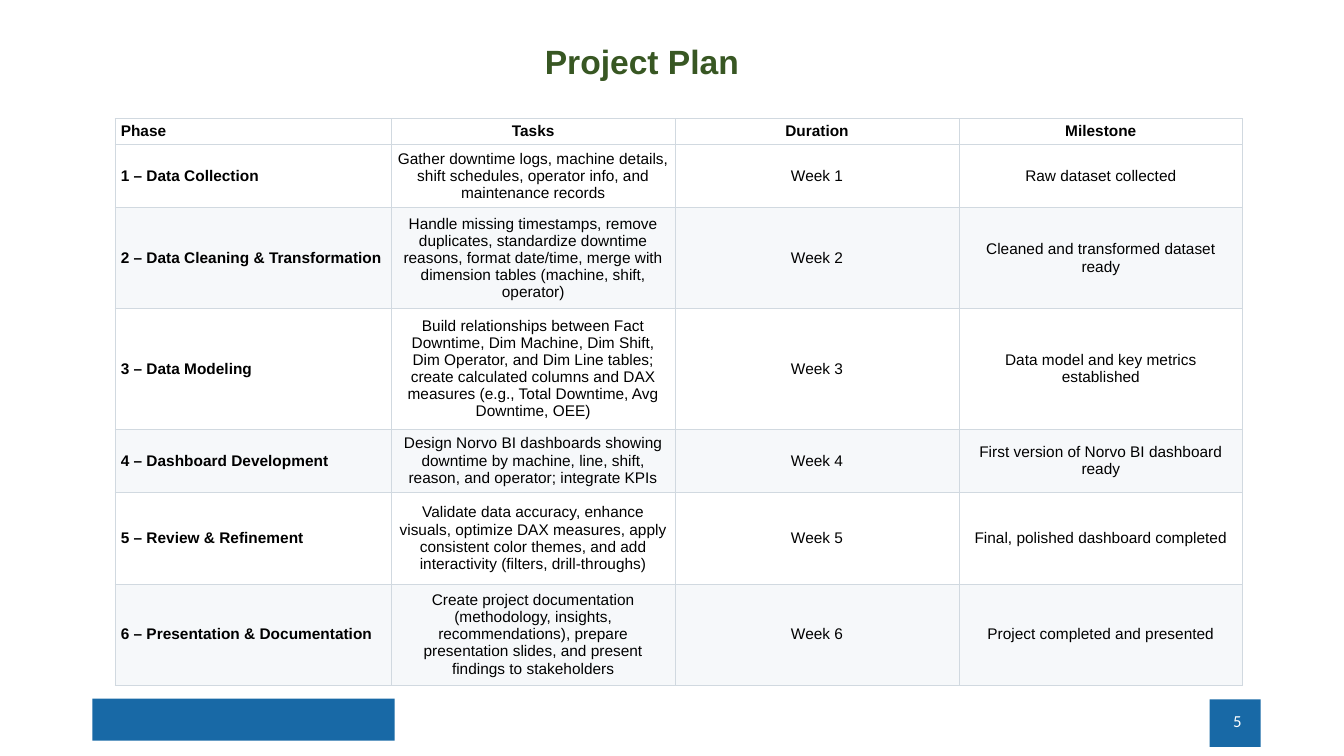
from lxml import etree
from pptx import Presentation
from pptx.dml.color import RGBColor
from pptx.enum.shapes import MSO_SHAPE
from pptx.enum.text import MSO_ANCHOR, MSO_AUTO_SIZE, PP_ALIGN
from pptx.oxml.ns import qn
from pptx.util import Pt

RECTANGLE = MSO_SHAPE.RECTANGLE
MIDDLE = MSO_ANCHOR.MIDDLE
NO_AUTOFIT = MSO_AUTO_SIZE.NONE
LEFT, CENTER, RIGHT = PP_ALIGN.LEFT, PP_ALIGN.CENTER, PP_ALIGN.RIGHT

TITLE = "Project Plan"
PAGE_NUMBER = "5"
PLAN = [
    ("Phase", "Tasks", "Duration", "Milestone"),
    ("1 – Data Collection",
     "Gather downtime logs, machine details, shift schedules, operator info, "
     "and maintenance records",
     "Week 1", "Raw dataset collected"),
    ("2 – Data Cleaning & Transformation",
     "Handle missing timestamps, remove duplicates, standardize downtime reasons, "
     "format date/time, merge with dimension tables (machine, shift, operator)",
     "Week 2", "Cleaned and transformed dataset ready"),
    ("3 – Data Modeling",
     "Build relationships between Fact Downtime, Dim Machine, Dim Shift, Dim Operator, "
     "and Dim Line tables; create calculated columns and DAX measures "
     "(e.g., Total Downtime, Avg Downtime, OEE)",
     "Week 3", "Data model and key metrics established"),
    ("4 – Dashboard Development",
     "Design Norvo BI dashboards showing downtime by machine, line, shift, reason, "
     "and operator; integrate KPIs",
     "Week 4", "First version of Norvo BI dashboard ready"),
    ("5 – Review & Refinement",
     "Validate data accuracy, enhance visuals, optimize DAX measures, apply consistent "
     "color themes, and add interactivity (filters, drill-throughs)",
     "Week 5", "Final, polished dashboard completed"),
    ("6 – Presentation & Documentation",
     "Create project documentation (methodology, insights, recommendations), prepare "
     "presentation slides, and present findings to stakeholders",
     "Week 6", "Project completed and presented"),
]
COLORS = {
    "title": "385723", "bar": "1869A6", "border": "D1D9E0", "text": "000000",
    "plain_row": "FFFFFF", "shaded_row": "F6F8FA", "page_number": "FFFFFF",
}
FOOTER_BARS = [(66, 499, 216, 30), (864, 499.5, 36.5, 34)]
TABLE_LEFT, TABLE_TOP = 82, 84.5
COLUMN_WIDTHS = [197.5, 202.75, 202.75, 202.75]
ROW_HEIGHTS = [18.5, 45.4, 72, 86, 45.4, 65.5, 72]


def color(name):
    return RGBColor.from_string(COLORS[name])


def set_font(paragraph, name, size, color_name, bold=False):
    font = paragraph.font
    font.name, font.size, font.bold = name, Pt(size), bold
    font.color.rgb = color(color_name)


def add_borders(cell):
    properties = cell._tc.get_or_add_tcPr()
    for index, side in enumerate(("lnL", "lnR", "lnT", "lnB")):
        line = etree.Element(qn(f"a:{side}"), w=str(Pt(0.48)))
        fill = etree.SubElement(line, qn("a:solidFill"))
        etree.SubElement(fill, qn("a:srgbClr"), val=COLORS["border"])
        properties.insert(index, line)


def add_footer(slide):
    for box in FOOTER_BARS:
        bar = slide.shapes.add_shape(RECTANGLE, *map(Pt, box))
        bar.shadow.inherit = False
        bar.fill.solid()
        bar.fill.fore_color.rgb = color("bar")
        bar.line.fill.background()
    frame = slide.shapes.add_textbox(Pt(678), Pt(500.5), Pt(216), Pt(29)).text_frame
    frame.word_wrap = True
    frame.vertical_anchor = MIDDLE
    paragraph = frame.paragraphs[0]
    paragraph.text = PAGE_NUMBER
    paragraph.alignment = RIGHT
    set_font(paragraph, "Calibri", 12, "page_number")


def add_title(slide):
    title = slide.shapes.title
    title.left, title.top, title.width, title.height = map(Pt, (381, 25.5, 155, 36))
    frame = title.text_frame
    frame.text = TITLE
    frame.word_wrap = False
    frame.auto_size = NO_AUTOFIT
    set_font(frame.paragraphs[0], "Arial", 24, "title", bold=True)


def add_plan(slide):
    table = slide.shapes.add_table(
        len(PLAN), len(COLUMN_WIDTHS), Pt(TABLE_LEFT), Pt(TABLE_TOP),
        Pt(sum(COLUMN_WIDTHS)), Pt(sum(ROW_HEIGHTS))).table
    for column, width in zip(table.columns, COLUMN_WIDTHS):
        column.width = Pt(width)
    for row_index, (row, height) in enumerate(zip(PLAN, ROW_HEIGHTS)):
        table.rows[row_index].height = Pt(height)
        shaded = row_index > 0 and row_index % 2 == 0
        for column_index, text in enumerate(row):
            cell = table.cell(row_index, column_index)
            cell.fill.solid()
            cell.fill.fore_color.rgb = color("shaded_row" if shaded else "plain_row")
            add_borders(cell)
            cell.vertical_anchor = MIDDLE
            cell.margin_left = cell.margin_right = Pt(4.3)
            cell.margin_top = cell.margin_bottom = Pt(2.15)
            paragraph = cell.text_frame.paragraphs[0]
            paragraph.text = text
            paragraph.alignment = LEFT if column_index == 0 else CENTER
            set_font(paragraph, "Arial", 11, "text",
                     bold=row_index == 0 or column_index == 0)


def main():
    presentation = Presentation()
    presentation.slide_width, presentation.slide_height = Pt(960), Pt(540)
    slide = presentation.slides.add_slide(presentation.slide_layouts[5])
    add_footer(slide)
    add_title(slide)
    add_plan(slide)
    presentation.save("out.pptx")


if __name__ == "__main__":
    main()
